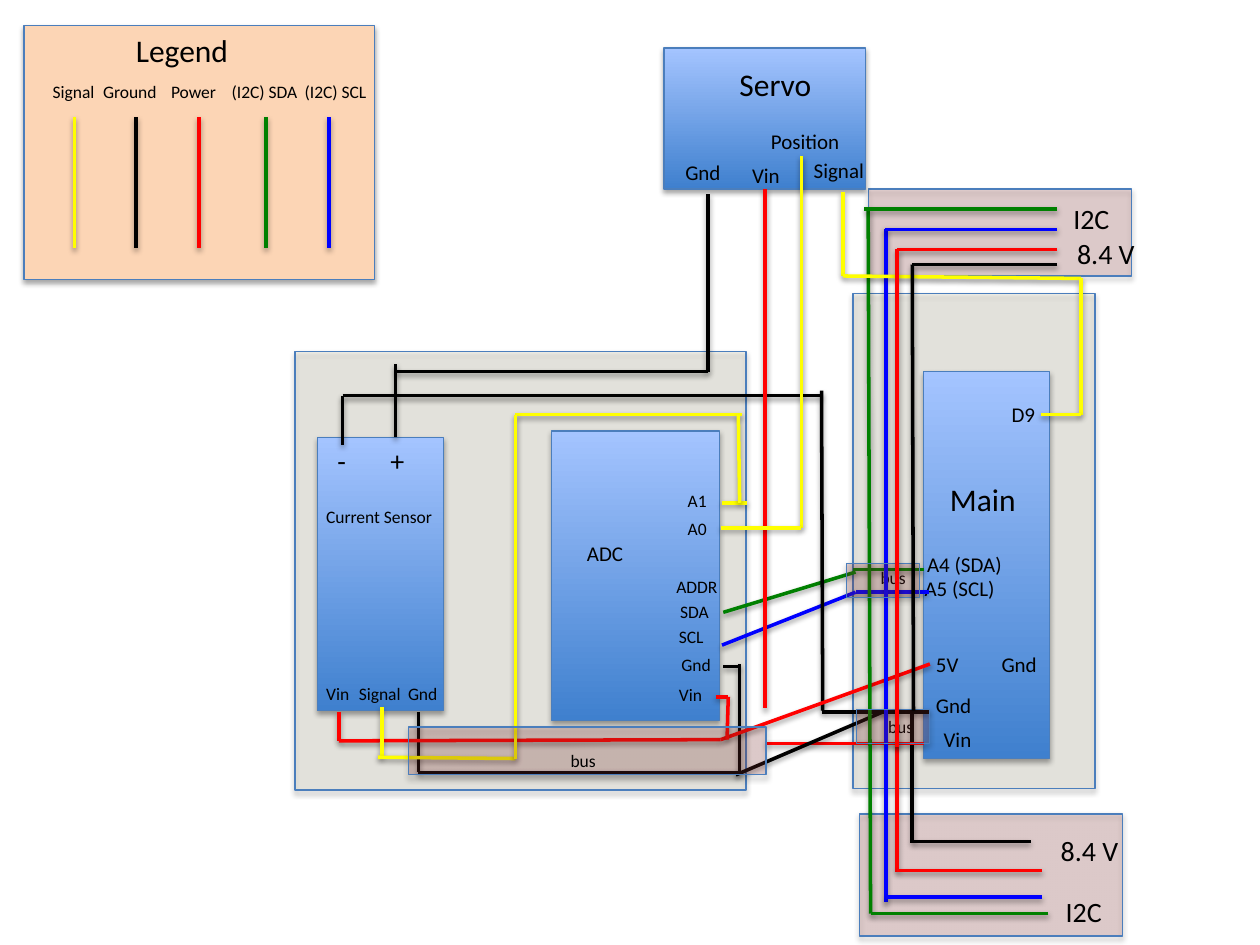
from itertools import pairwise

from lxml import etree
from pptx import Presentation
from pptx.dml.color import RGBColor
from pptx.enum import shapes, text
from pptx.oxml.ns import qn
from pptx.util import Cm, Pt

COLORS = {
    "power": "FF0000", "ground": "000000", "signal": "FFFF00",
    "sda": "008000", "scl": "0000FF", "text": "000000",
    "outline": "4B7EBC", "legend": "FCD5B5", "board": "DDD9C3",
    "bus": "953735", "chip_low": "3F80CE", "chip_high": "A4C4FF",
}
LABEL_HEIGHTS = {10: 0.27, 12: 0.3, 16: 0.37, 18: 0.4}


def grid(v):
    """Turn a layout unit of 2.54 cm into a length."""
    return Cm(round(v * 2.54, 3))


def rgb(name):
    return RGBColor.from_string(COLORS[name])


def add_shadow(sp, dist, alpha):
    pr = sp._element.spPr
    effects = pr.find(qn("a:effectLst"))
    if effects is None:
        effects = etree.SubElement(pr, qn("a:effectLst"))
    shadow = etree.SubElement(effects, qn("a:outerShdw"), blurRad=str(Pt(3.1)),
                              dist=str(Pt(dist)), dir="5400000", rotWithShape="0")
    color = etree.SubElement(shadow, qn("a:srgbClr"), val="000000")
    etree.SubElement(color, qn("a:alpha"), val=str(alpha * 1000))


def add_box(slide, box, fill=None, alpha=None):
    """Draw a rectangle; without a fill name it gets the chip gradient."""
    sp = slide.shapes.add_shape(shapes.MSO_SHAPE.RECTANGLE, *map(grid, box))
    if fill:
        sp.fill.solid()
        sp.fill.fore_color.rgb = rgb(fill)
    else:
        sp.fill.gradient()
        sp.fill.gradient_angle = 90
        for stop, name in zip(sp.fill.gradient_stops, ("chip_low", "chip_high")):
            stop.color.rgb = rgb(name)
    if alpha:
        color = sp._element.spPr.find(qn("a:solidFill"))[0]
        etree.SubElement(color, qn("a:alpha"), val=str(alpha * 1000))
    sp.line.color.rgb = rgb("outline")
    sp.line.width = Pt(0.75)
    sp.shadow.inherit = False
    add_shadow(sp, 1.8, 35)


def add_label(slide, words, x, y, width, size=12, color="text", wrap=False):
    sp = slide.shapes.add_textbox(grid(x), grid(y), grid(width),
                                  grid(LABEL_HEIGHTS[size]))
    tf = sp.text_frame
    tf.word_wrap = wrap
    tf.auto_size = text.MSO_AUTO_SIZE.SHAPE_TO_FIT_TEXT
    r = tf.paragraphs[0].add_run()
    r.text = words
    r.font.name = "Calibri"
    r.font.size = Pt(size)
    r.font.color.rgb = rgb(color)


def add_wire(slide, color, *points):
    """Join the points in turn with straight connectors."""
    for start, end in pairwise(points):
        sp = slide.shapes.add_connector(shapes.MSO_CONNECTOR.STRAIGHT,
                                        *map(grid, start + end))
        sp.line.color.rgb = rgb(color)
        sp.line.width = Pt(2)
        add_shadow(sp, 1.6, 38)


def add_legend(slide):
    add_box(slide, (0.19, 0.2, 2.78, 2.02), "legend")
    add_label(slide, "Legend", 0.98, 0.2, 0.94, size=18)
    for words, color, wire_x, x, width in [
        ("Signal", "signal", 0.59, 0.32, 0.54),
        ("Ground", "ground", 1.08, 0.72, 0.63),
        ("Power", "power", 1.58, 1.26, 0.63),
        ("(I2C) SDA", "sda", 2.11, 1.74, 0.73),
        ("(I2C) SCL", "scl", 2.61, 2.32, 0.7),
    ]:
        add_label(slide, words, x, 0.59, width, size=10)
        add_wire(slide, color, (wire_x, 0.93), (wire_x, 1.97))


def add_blocks(slide):
    # External connectors and boards
    for box in [(6.89, 1.5, 2.09, 0.69), (6.82, 6.46, 2.09, 0.97)]:
        add_box(slide, box, "bus", 20)
    for box in [(6.77, 2.33, 1.92, 3.93), (2.34, 2.79, 3.58, 3.48)]:
        add_box(slide, box, "board", 29)
    # Main controller, ADC, current sensor, servo
    for box in [(7.33, 2.95, 1, 3.07), (4.38, 3.42, 1.33, 2.3),
                (2.52, 3.47, 1, 2.17), (5.27, 0.38, 1.6, 1.12)]:
        add_box(slide, box)


def add_labels(slide):
    labels = {
        18: [("Main", 7.44, 3.76, 0.75), ("Servo", 5.77, 0.47, 0.78)],
        16: [("-", 2.58, 3.47, 0.27), ("+", 3, 3.47, 0.31),
             ("8.4 V", 8.32, 6.57, 0.68), ("I2C", 8.36, 7.05, 0.5),
             ("8.4 V", 8.45, 1.83, 0.68), ("I2C", 8.42, 1.55, 0.5)],
        12: [("5V", 7.33, 5.12, 0.4), ("Gnd", 7.33, 5.45, 0.48),
             ("Gnd", 7.85, 5.12, 0.48), ("Vin", 7.39, 5.72, 0.42),
             ("A4 (SDA)", 7.26, 4.33, 0.8), ("D9", 7.93, 3.14, 0.39),
             ("ADC", 4.56, 4.24, 0.49), ("Gnd", 5.34, 1.22, 0.48),
             ("Vin", 5.87, 1.24, 0.42), ("Signal", 6.36, 1.2, 0.6),
             ("Position", 6.02, 0.97, 0.75)],
        10: [("Current Sensor", 2.49, 3.97, 1.06), ("Vin", 2.49, 5.37, 0.39),
             ("Signal", 2.75, 5.37, 0.54), ("Gnd", 3.14, 5.37, 0.44),
             ("A1", 5.36, 3.84, 0.35), ("A0", 5.36, 4.06, 0.36),
             ("ADDR", 5.27, 4.52, 0.54), ("SDA", 5.3, 4.72, 0.44),
             ("SCL", 5.29, 4.92, 0.4), ("Gnd", 5.31, 5.14, 0.44),
             ("Vin", 5.29, 5.38, 0.39), ("bus", 6.95, 5.63, 0.4),
             ("bus", 6.89, 4.45, 0.4)],
    }
    for size, rows in labels.items():
        for row in rows:
            add_label(slide, *row, size=size)
    add_label(slide, "A5 (SCL)", 7.24, 4.52, 0.82, wrap=True)


def add_inner_wires(slide):
    for wire in [
        # Lower runs of the supply lines
        ("power", (7.12, 5.88), (7.12, 6.92)),
        ("ground", (7.24, 5.65), (7.24, 6.69)),
        ("power", (7.33, 5.9), (6.08, 5.9)),
        # Main controller pins
        ("ground", (7.37, 5.65), (6.52, 5.65)),
        ("scl", (7.37, 4.7), (6.79, 4.7), (5.73, 5.12)),
        ("sda", (7.33, 4.52), (6.77, 4.52)),
        ("sda", (6.79, 4.54), (5.74, 4.86)),
        # Ground of servo, sensor and ADC
        ("ground", (5.62, 1.54), (5.62, 2.95), (3.14, 2.95)),
        ("ground", (3.14, 2.89), (3.14, 3.47)),
        ("ground", (7.03, 5.64), (5.84, 6.15)),
        ("ground", (3.32, 5.65), (3.32, 6.13), (5.87, 6.13)),
        ("ground", (5.74, 5.29), (5.87, 5.29)),
        ("ground", (5.87, 5.27), (5.87, 6.14)),
        ("ground", (2.72, 3.53), (2.72, 3.14), (6.52, 3.14)),
        ("ground", (6.52, 3.1), (6.53, 5.64)),
        # Power of sensor, ADC and servo
        ("power", (2.69, 5.65), (2.69, 5.88), (5.72, 5.87), (7.38, 5.27)),
        ("power", (5.68, 5.53), (5.78, 5.53), (5.77, 5.87)),
        ("power", (6.07, 1.5), (6.07, 5.62)),
        # Analog signals
        ("signal", (5.73, 3.99), (5.93, 3.99)),
        ("signal", (6.36, 1.24), (6.36, 4.19), (5.72, 4.19)),
        ("signal", (4.09, 3.29), (5.89, 3.29)),
        ("signal", (5.86, 3.29), (5.87, 3.99)),
        ("signal", (3.03, 5.61), (3.03, 6.01)),
        ("signal", (3, 6.01), (4.09, 6.02), (4.09, 3.29)),
        # I2C trunk
        ("sda", (6.89, 1.66), (6.91, 7.25)),
        ("scl", (7.03, 1.82), (7.03, 7.16)),
    ]:
        add_wire(slide, *wire)


def add_buses(slide):
    for box in [(6.72, 4.47, 0.58, 0.27), (6.8, 5.63, 0.58, 0.27),
                (3.24, 5.77, 2.84, 0.38)]:
        add_box(slide, box, "bus", 20)
    add_label(slide, "bus", 4.43, 5.9, 0.4, size=10)


def add_outer_wires(slide):
    for wire in [
        ("signal", (6.69, 1.52), (6.69, 2.19), (8.58, 2.21), (8.58, 3.29),
         (8.26, 3.29)),
        ("ground", (7.24, 6.68), (8.18, 6.68)),
        ("power", (7.12, 6.91), (8.27, 6.91)),
        ("scl", (8.27, 7.12), (7.03, 7.12)),
        ("sda", (8.32, 7.25), (6.91, 7.25)),
        ("ground", (8.39, 2.1), (7.24, 2.1), (7.25, 5.64)),
        ("power", (8.39, 1.98), (7.12, 1.98), (7.12, 5.93)),
        ("scl", (8.39, 1.82), (7.02, 1.82)),
        ("sda", (8.39, 1.66), (6.86, 1.66)),
    ]:
        add_wire(slide, *wire)


def main():
    prs = Presentation()
    prs.slide_width, prs.slide_height = Cm(25.4), Cm(19.05)
    slide = prs.slides.add_slide(prs.slide_layouts[6])
    for draw in (add_blocks, add_legend, add_labels, add_inner_wires,
                 add_buses, add_outer_wires):
        draw(slide)
    prs.save("out.pptx")


main()
